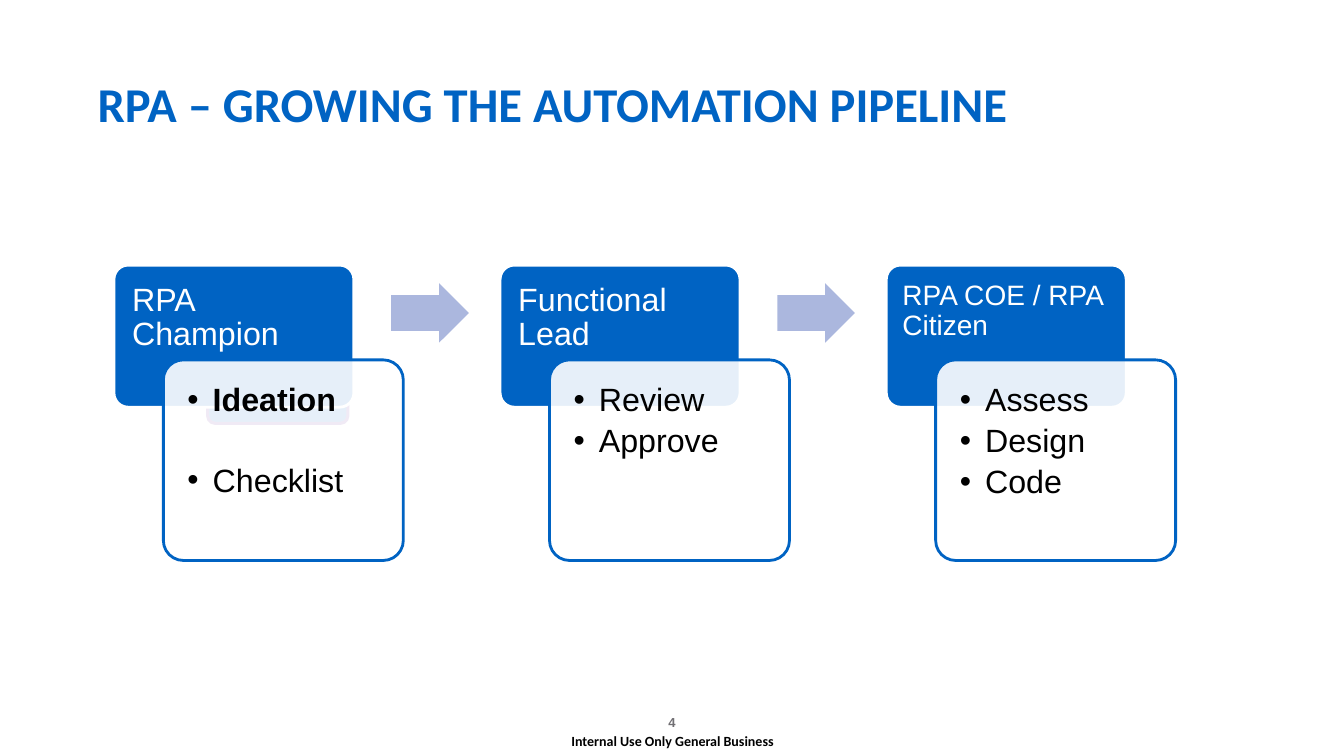
from lxml.etree import SubElement
from pptx import Presentation
from pptx.dml.color import RGBColor
from pptx.enum.shapes import MSO_SHAPE
from pptx.enum.text import MSO_ANCHOR, PP_ALIGN
from pptx.oxml.ns import qn
from pptx.util import Pt

PX = 9144
COLORS = {
    "blue": "0063C3",
    "arrow": "ABB7DE",
    "purple": "7030A0",
    "white": "FFFFFF",
    "black": "000000",
    "gray": "716F73",
}
STAGES = [
    ("RPA Champion", 23, 18, ["Ideation", "Checklist"]),
    ("Functional Lead", 23, 18, ["Review", "Approve"]),
    ("RPA COE / RPA Citizen", 20, 16, ["Assess", "Design", "Code"]),
]
STAGE_STEP = 383


def color(name):
    return RGBColor.from_string(COLORS[name])


def add_text(slide, box, lines, size, font="Arial", ink="black", bold_lines=(),
             align=PP_ALIGN.LEFT, anchor=MSO_ANCHOR.TOP, insets=(0, 0, 0, 0),
             line_spacing=1.0, space_after=0, gap_before=None, bullet=False):
    shape = slide.shapes.add_textbox(*[value * PX for value in box])
    frame = shape.text_frame
    frame.word_wrap = True
    frame.vertical_anchor = anchor
    (frame.margin_left, frame.margin_top,
     frame.margin_right, frame.margin_bottom) = [value * PX for value in insets]
    for index, line in enumerate(lines):
        paragraph = frame.paragraphs[0] if index == 0 else frame.add_paragraph()
        paragraph.alignment = align
        paragraph.line_spacing = line_spacing
        paragraph.space_before = Pt((gap_before or {}).get(line, 0))
        paragraph.space_after = Pt(space_after)
        run = paragraph.add_run()
        run.text = line
        run.font.name = font
        run.font.size = Pt(size)
        run.font.bold = line in bold_lines
        run.font.color.rgb = color(ink)
        if bullet:
            properties = paragraph._p.get_or_add_pPr()
            properties.set("marL", str(25 * PX))
            properties.set("indent", str(-25 * PX))
            SubElement(properties, qn("a:buFont")).set("typeface", "Arial")
            SubElement(properties, qn("a:buChar")).set("char", "•")
    return shape


def add_block(slide, kind, box, fill, line=None, line_width=2, adjustments=(), opacity=None):
    shape = slide.shapes.add_shape(kind, *[value * PX for value in box])
    shape.shadow.inherit = False
    for index, value in enumerate(adjustments):
        shape.adjustments[index] = value
    shape.fill.solid()
    shape.fill.fore_color.rgb = color(fill)
    if opacity is not None:
        fill_color = shape._element.spPr.find(qn("a:solidFill"))[0]
        SubElement(fill_color, qn("a:alpha")).set("val", str(opacity * 1000))
    if line:
        shape.line.color.rgb = color(line)
        shape.line.width = Pt(line_width)
    else:
        shape.line.fill.background()
    return shape


def add_title(slide, box):
    title = "RPA – GROWING THE AUTOMATION PIPELINE"
    add_text(slide, box, [title], 34.7, font="Calibri", ink="blue", bold_lines=[title],
             anchor=MSO_ANCHOR.BOTTOM, insets=(10, 5, 10, 5))


def add_footer(slide, box):
    left, top, width, height = box
    label = "Internal Use Only General Business"
    add_text(slide, (left + 55, top, 121, 40), ["4"], 9.3, ink="gray", bold_lines=["4"],
             align=PP_ALIGN.CENTER, anchor=MSO_ANCHOR.BOTTOM)
    add_text(slide, (left, top + 37, width, height - 37), [label], 10, font="Calibri",
             bold_lines=[label], align=PP_ALIGN.CENTER, anchor=MSO_ANCHOR.MIDDLE)


def add_stage(slide, box, heading, size, inset, tasks):
    left, top, width, height = box
    card_left, card_top = left + 49, top + 94
    card_width, card_height = width - 49, height - 94
    add_block(slide, MSO_SHAPE.ROUNDED_RECTANGLE, (left, top, 238, 141), "blue",
              line="white", adjustments=[0.1])
    add_text(slide, (left, top, 238, 94), [heading], size, ink="white",
             insets=(inset, inset, inset, inset - 8), line_spacing=0.9, space_after=8)
    add_block(slide, MSO_SHAPE.ROUNDED_RECTANGLE,
              (card_left, card_top, card_width, card_height), "white",
              line="blue", adjustments=[0.1], opacity=90)
    add_text(slide, (card_left + 6, card_top + 6, card_width - 11, card_height - 11),
             tasks, 23, bold_lines=["Ideation"], insets=(18, 18, 18, 18),
             line_spacing=0.9, space_after=4.5, gap_before={"Checklist": 28}, bullet=True)


def add_pipeline(slide, box):
    left, top, width, height = box
    stage_width = width - STAGE_STEP * (len(STAGES) - 1)
    add_block(slide, MSO_SHAPE.ROUNDED_RECTANGLE, (left + 93, top + 112, 139, 45), "blue",
              line="purple", line_width=2.25)
    for index, stage in enumerate(STAGES):
        stage_left = left + index * STAGE_STEP
        add_stage(slide, (stage_left, top, stage_width, height), *stage)
        if index < len(STAGES) - 1:
            add_block(slide, MSO_SHAPE.RIGHT_ARROW, (stage_left + 275, top + 18, 77, 59),
                      "arrow", adjustments=[0.6, 0.5])


def main():
    presentation = Presentation()
    presentation.slide_width = 1333 * PX
    presentation.slide_height = 750 * PX
    slide = presentation.slides.add_slide(presentation.slide_layouts[6])
    add_footer(slide, (551, 684, 232, 66))
    add_title(slide, (87, 68, 1227, 68))
    add_pipeline(slide, (113, 263, 1053, 293))
    presentation.save("out.pptx")


if __name__ == "__main__":
    main()
